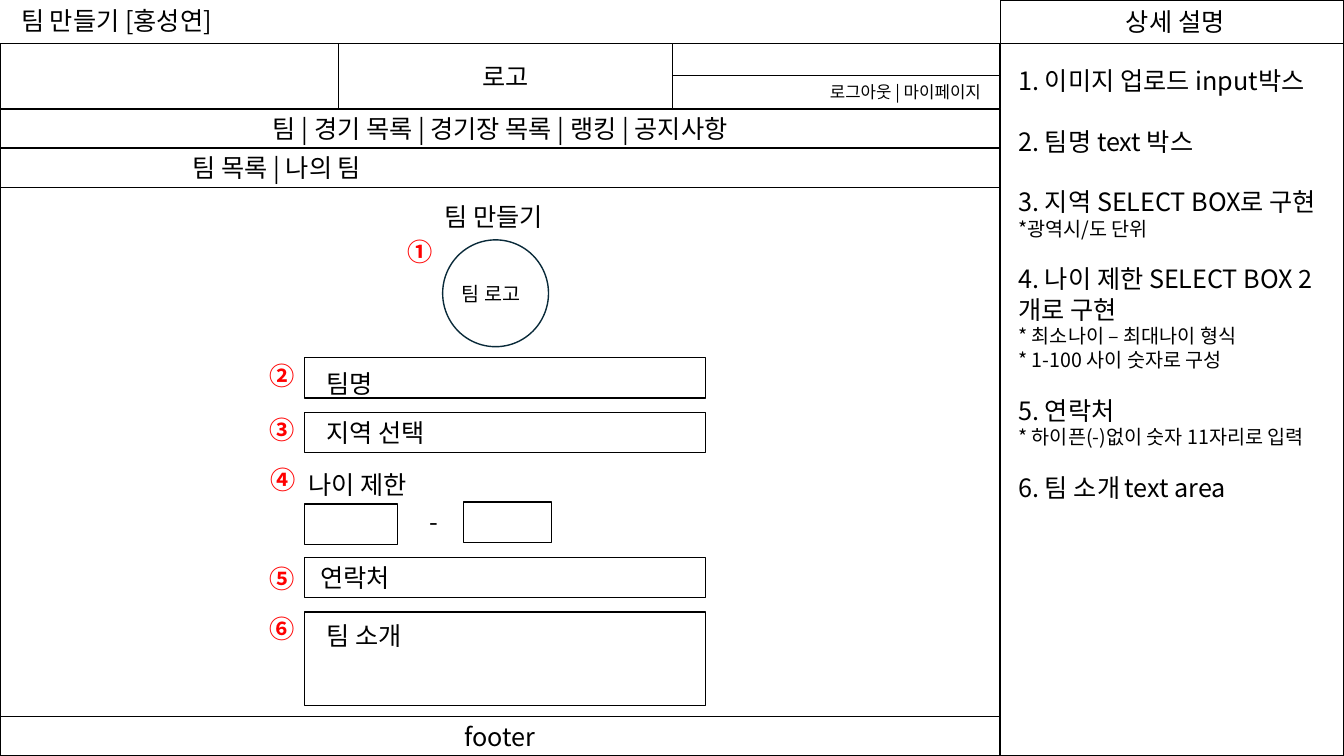
from pptx import Presentation
from pptx.dml.color import RGBColor
from pptx.enum.shapes import MSO_SHAPE
from pptx.enum.text import MSO_ANCHOR, MSO_AUTO_SIZE, PP_ALIGN
from pptx.oxml.ns import qn
from pptx.util import Inches, Pt
from lxml import etree

RECT, OVAL = MSO_SHAPE.RECTANGLE, MSO_SHAPE.OVAL
LEFT, MID, RIGHT = PP_ALIGN.LEFT, PP_ALIGN.CENTER, PP_ALIGN.RIGHT
TOP, CENTER = MSO_ANCHOR.TOP, MSO_ANCHOR.MIDDLE
FIXED = MSO_AUTO_SIZE.NONE
FONT = "Noto Sans CJK KR"
COLORS = {"ink": "000000", "paper": "FFFFFF", "mark": "FF0000", "ring": "092A39"}


def write(para, text, size=18, color="ink", bold=False):
    run = para.add_run()
    run.text = text
    font = run.font
    font.name, font.size, font.bold = FONT, Pt(size), bold
    font.color.rgb = RGBColor.from_string(COLORS[color])
    east = etree.Element(qn("a:ea"), typeface=FONT)
    font._element.find(qn("a:latin")).addnext(east)


def draw(kind, box, fill=None, line="ink"):
    shape = slide.shapes.add_shape(kind, *map(Inches, box))
    shape.shadow.inherit = False
    if fill:
        shape.fill.solid()
        shape.fill.fore_color.rgb = RGBColor.from_string(COLORS[fill])
    else:
        shape.fill.background()
    shape.line.color.rgb = RGBColor.from_string(COLORS[line])
    shape.line.width = Pt(1)
    return shape


prs = Presentation()
prs.slide_width, prs.slide_height = Inches(13.33), Inches(7.5)
slide = prs.slides.add_slide(prs.slide_layouts[1])
title, notes = slide.placeholders

for holder, box, wrap in [(title, (0.11, 0, 2.3, 0.4), False),
                          (notes, (10, 0.6, 3.29, 4.85), True)]:
    holder.left, holder.top, holder.width, holder.height = map(Inches, box)
    frame = holder.text_frame
    frame.word_wrap, frame.auto_size = wrap, FIXED
    frame.vertical_anchor = TOP
head = title.text_frame.paragraphs[0]
head.alignment = LEFT
write(head, "팀 만들기 [홍성연]")

WIDE, BAR = 9.92, 0.39
panels = [
    ((WIDE, 0.43, 3.41, 7.07), "", 18, MID, 0.1, 0.1),
    ((WIDE, 0, 3.41, 0.43), "상세 설명", 18, MID, 0.16, 0.1),
    ((0, 0.43, WIDE, 1.04), "", 18, MID, 0.1, 0.1),
    ((3.36, 0.43, 3.31, 0.65), "로고", 18, MID, 0.1, 0.1),
    ((0, 1.08, WIDE, BAR), "팀 | 경기 목록 | 경기장 목록 | 랭킹 | 공지사항", 18, MID, 0.1, 0.1),
    ((6.67, 0.75, 3.25, 0.33), "로그아웃 | 마이페이지", 12, RIGHT, 0.1, 0.19),
    ((0, 7.11, WIDE, BAR), "footer", 18, MID, 0.1, 0.1),
    ((0, 1.47, WIDE, 5.64), "", 18, MID, 0.1, 0.1),
    ((0, 1.47, WIDE, BAR), "팀 목록 | 나의 팀", 18, LEFT, 1.91, 0.1),
]
for box, text, size, align, left, right in panels:
    frame = draw(RECT, box, "paper").text_frame
    if text:
        frame.word_wrap, frame.vertical_anchor = True, CENTER
        frame.margin_left, frame.margin_right = Inches(left), Inches(right)
        frame.paragraphs[0].alignment = align
        write(frame.paragraphs[0], text, size)

EDGE, LONG, ROW = 3.02, 3.98, 0.4
for box in [(EDGE, 3.55, LONG, ROW), (EDGE, 4.09, LONG, ROW),
            (EDGE, 5, 0.92, ROW), (4.6, 4.98, 0.87, ROW),
            (EDGE, 5.53, LONG, ROW), (EDGE, 6.07, LONG, 0.93)]:
    draw(RECT, box)
draw(OVAL, (4.39, 2.38, 1.05, 1.06), line="ring")

labels = [
    (4.31, 1.95, 1.29, "팀 만들기", 18),
    (4.48, 2.75, 0.86, "팀 로고", 14),
    (3.14, 3.6, 3.75, "팀명", 18),
    (3.14, 4.09, 3.75, "지역 선택", 18),
    (2.96, 4.61, 1.29, "나이 제한", 18),
    (4.16, 4.97, 0.34, "-", 18),
    (3.08, 5.53, 3.75, "연락처", 18),
    (3.14, 6.11, 3.75, "팀 소개", 18),
]
marks = [(3.94, 2.3), (2.57, 3.53), (2.57, 4.06), (2.58, 4.56), (2.57, 5.54), (2.57, 6.04)]
items = [(*spot, "ink", False) for spot in labels]
items += [(x, y, 0.34, sign, 18, "mark", True) for (x, y), sign in zip(marks, "①②③④⑤⑥")]
for x, y, width, text, size, color, bold in items:
    box = slide.shapes.add_textbox(Inches(x), Inches(y), Inches(width), Inches(ROW))
    box.text_frame.word_wrap = True
    write(box.text_frame.paragraphs[0], text, size, color, bold)

details = [
    (0, [("1. 이미지 업로드 input박스", 18)]),
    (21.5, [("2. 팀명 text 박스", 18)]),
    (21.5, [("3. 지역 SELECT BOX로 구현", 18)]),
    (0, [("*광역시/도 단위", 14)]),
    (17, [("4. 나이 제한 SELECT BOX 2개로 구현", 18)]),
    (0, [("* 최소나이 – 최대나이 형식", 14)]),
    (0, [("* 1-100 사이 숫자로 구성", 14)]),
    (17, [("5. 연락처", 18)]),
    (0, [("* 하이픈(-)없이 숫자 11자리로 입력", 14)]),
    (17, [("6. 팀 소개", 18), (" ", 14), ("text area", 18)]),
]
frame = notes.text_frame
for i, (gap, runs) in enumerate(details):
    para = frame.add_paragraph() if i else frame.paragraphs[0]
    props = para._p.get_or_add_pPr()
    props.set("marL", "0")
    props.set("indent", "0")
    etree.SubElement(props, qn("a:buNone"))
    para.space_before = Pt(gap)
    for text, size in runs:
        write(para, text, size)
slide.shapes._spTree.append(notes._element)

prs.save("out.pptx")
